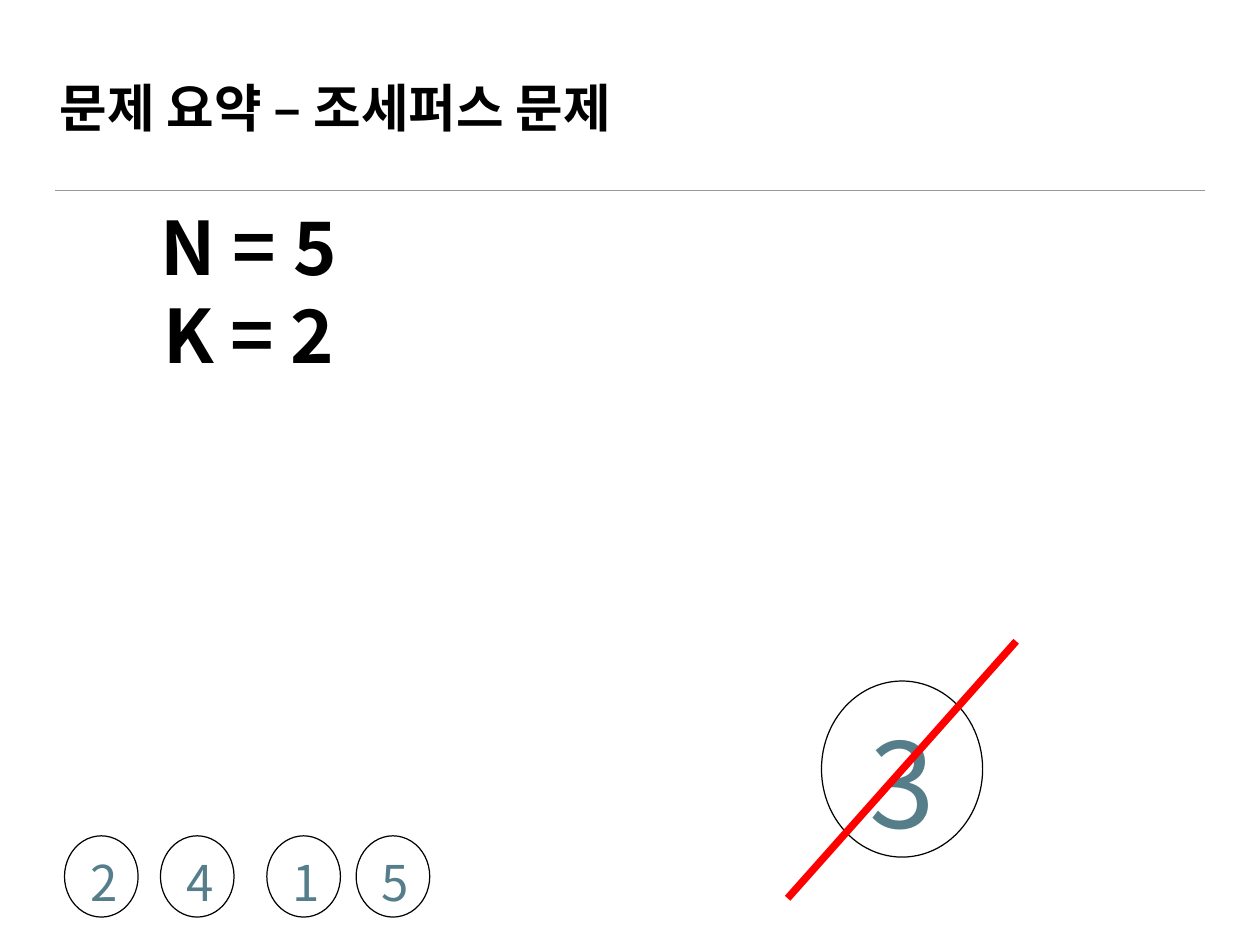
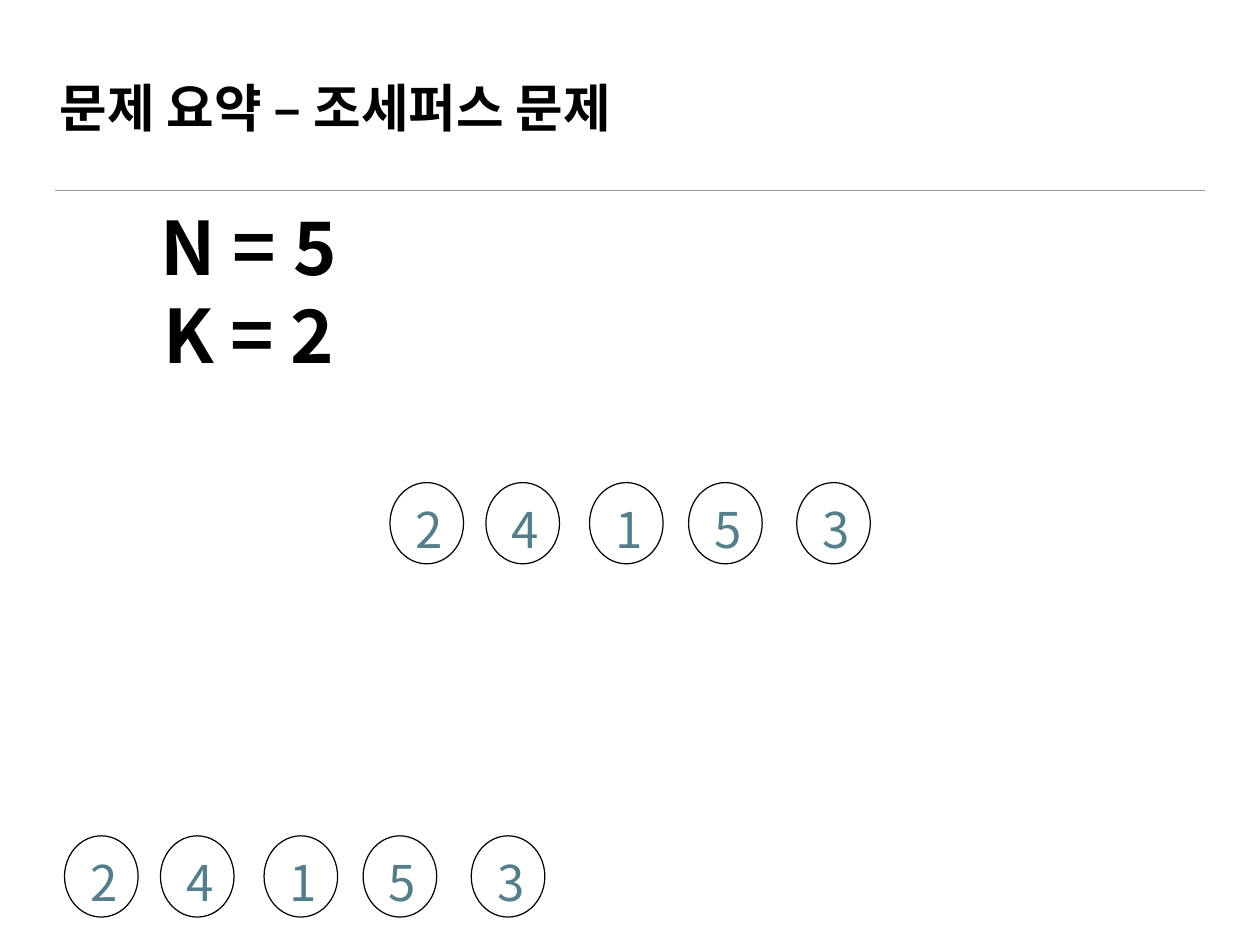
from lxml import etree
from pptx import Presentation
from pptx.dml.color import RGBColor
from pptx.enum.shapes import MSO_CONNECTOR, MSO_SHAPE
from pptx.enum.text import MSO_ANCHOR, PP_ALIGN
from pptx.oxml.ns import qn
from pptx.util import Cm, Pt

STRAIGHT = MSO_CONNECTOR.STRAIGHT
ELLIPSE = MSO_SHAPE.OVAL
LEFT, CENTER = PP_ALIGN.LEFT, PP_ALIGN.CENTER
TOP, MIDDLE, BOTTOM = MSO_ANCHOR.TOP, MSO_ANCHOR.MIDDLE, MSO_ANCHOR.BOTTOM

BLACK = RGBColor(0x00, 0x00, 0x00)
WHITE = RGBColor(0xFF, 0xFF, 0xFF)
GRAY = RGBColor(0x9A, 0x9A, 0x9A)
TEAL = RGBColor(0x55, 0x7E, 0x8A)
RED = RGBColor(0xFF, 0x00, 0x00)

FONT = "Noto Sans CJK KR"
TITLE_FONT = {"name": FONT, "size": Pt(42), "bold": True}
VALUE_FONT = {"name": FONT, "size": Pt(60), "bold": True}
DIGIT_FONT = {"name": FONT, "size": Pt(40), "bold": False}
REMOVED_FONT = {"name": FONT, "size": Pt(96), "bold": False}

TIGHT_INSETS = {"margin_left": Cm(0.15), "margin_right": Cm(0.15),
                "margin_top": Cm(0.15), "margin_bottom": Cm(0.15)}
HEADING_FRAME = {"word_wrap": True, "vertical_anchor": BOTTOM, **TIGHT_INSETS}
VALUE_FRAME = {"word_wrap": True, "vertical_anchor": MIDDLE, **TIGHT_INSETS}
DIGIT_FRAME = {"word_wrap": True, "vertical_anchor": TOP}
REMOVED_FRAME = {"word_wrap": False, "vertical_anchor": TOP}

# Digit rows: (digit, left in cm)
REMAINING = [("2", 1.85), ("4", 4.6), ("1", 7.65), ("5", 10.21)]
FULL_ORDER = [("2", 1.85), ("4", 4.6), ("1", 7.57), ("5", 10.41), ("3", 13.51)]
BOTTOM_ROW, MIDDLE_ROW = 23.97, 13.84
MIDDLE_SHIFT = 9.33


def apply(target, values):
    for attribute, value in values.items():
        setattr(target, attribute, value)


def add_text(shapes, lines, box, font, frame, color=BLACK, align=LEFT):
    text_frame = shapes.add_textbox(*map(Cm, box)).text_frame
    apply(text_frame, frame)
    for index, line in enumerate(lines):
        paragraph = text_frame.paragraphs[0] if index == 0 else text_frame.add_paragraph()
        paragraph.alignment = align
        run = paragraph.add_run()
        run.text = line
        apply(run.font, font)
        run.font.color.rgb = color
        # Korean glyphs take the East Asian typeface
        etree.SubElement(run.font._element, qn("a:ea"), typeface=font["name"])


def add_line(shapes, start, end, color, width):
    line = shapes.add_connector(STRAIGHT, *map(Cm, start + end))
    line.line.color.rgb = color
    line.line.width = Pt(width)
    etree.SubElement(line._element.spPr, qn("a:effectLst"))


def add_circle(shapes, box):
    circle = shapes.add_shape(ELLIPSE, *map(Cm, box))
    circle.shadow.inherit = False
    circle.fill.background()
    circle.line.color.rgb = BLACK
    circle.line.width = Pt(1)


def add_digit_row(slide, digits, top, shift=0):
    for digit, left in digits:
        ball = slide.shapes.add_group_shape().shapes
        left += shift
        add_circle(ball, (left, top, 2.11, 2.33))
        add_text(ball, [digit], (left - 0.09, top + 0.36, 2.44, 1.96),
                 DIGIT_FONT, DIGIT_FRAME, TEAL, CENTER)


def add_removed_digit(slide, digit):
    add_circle(slide.shapes, (23.55, 19.53, 4.62, 5.05))
    add_text(slide.shapes, [digit], (24.64, 20.24, 2.44, 4.37),
             REMOVED_FONT, REMOVED_FRAME, TEAL, CENTER)
    add_line(slide.shapes, (29.13, 18.39), (22.58, 25.76), RED, 6)


def add_problem_slide(prs):
    slide = prs.slides.add_slide(prs.slide_layouts[6])
    slide.background.fill.solid()
    slide.background.fill.fore_color.rgb = WHITE
    # Title, rule below it, and the given values
    add_line(slide.shapes, (1.57, 5.46), (34.54, 5.46), GRAY, 1)
    add_text(slide.shapes, ["문제 요약 – 조세퍼스 문제"], (1.57, 0.2, 32.94, 3.89),
             TITLE_FONT, HEADING_FRAME)
    add_text(slide.shapes, ["N = 5", "K = 2"], (1.57, 5.61, 11.13, 5.41),
             VALUE_FONT, VALUE_FRAME, align=CENTER)
    return slide


def main():
    prs = Presentation()
    prs.slide_width, prs.slide_height = Cm(36.12), Cm(27.1)

    # The last number is removed
    removal = add_problem_slide(prs)
    add_digit_row(removal, REMAINING, BOTTOM_ROW)
    add_removed_digit(removal, "3")

    # The complete removal order
    result = add_problem_slide(prs)
    add_digit_row(result, FULL_ORDER, BOTTOM_ROW)
    add_digit_row(result, FULL_ORDER, MIDDLE_ROW, MIDDLE_SHIFT)

    prs.save("out.pptx")


if __name__ == "__main__":
    main()
